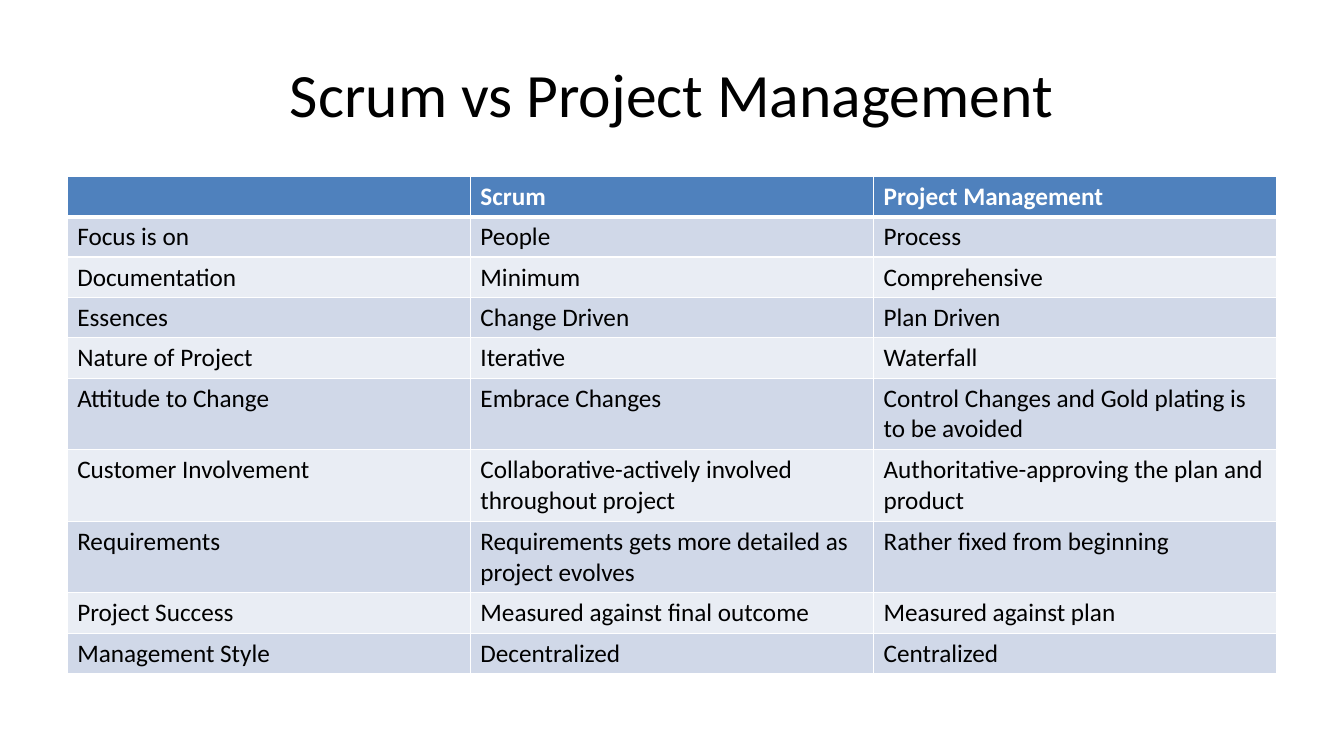
from dataclasses import dataclass
from lxml.etree import SubElement
from pptx import Presentation
from pptx.dml.color import RGBColor
from pptx.enum.text import MSO_ANCHOR, PP_ALIGN
from pptx.oxml.ns import qn
from pptx.util import Inches, Pt


@dataclass
class Theme:
    face: str = "Calibri"
    head: str = "4F81BD"
    bands: tuple = ("E9EDF4", "D0D8E8")
    dark: str = "000000"
    light: str = "FFFFFF"
    title: int = 44
    body: int = 18
    thin: int = 1
    thick: int = 3


theme = Theme()


def style(para, size, color, bold=False):
    font = para.font
    font.name, font.size, font.bold = theme.face, Pt(size), bold
    font.color.rgb = RGBColor.from_string(color)


def edge(cell, side, width):
    line = SubElement(cell._tc.get_or_add_tcPr(), qn(f"a:ln{side}"), w=str(Pt(width)))
    fill = SubElement(line, qn("a:solidFill"))
    SubElement(fill, qn("a:srgbClr"), val=theme.light)


rows = [
    ("", "Scrum", "Project Management"),
    ("Focus is on", "People", "Process"),
    ("Documentation", "Minimum", "Comprehensive"),
    ("Essences", "Change Driven", "Plan Driven"),
    ("Nature of Project", "Iterative", "Waterfall"),
    ("Attitude to Change", "Embrace Changes",
     "Control Changes and Gold plating is to be avoided"),
    ("Customer Involvement", "Collaborative-actively involved throughout project",
     "Authoritative-approving the plan and product"),
    ("Requirements", "Requirements gets more detailed as project evolves",
     "Rather fixed from beginning"),
    ("Project Success", "Measured against final outcome", "Measured against plan"),
    ("Management Style", "Decentralized", "Centralized"),
]
tall = {"Attitude to Change", "Customer Involvement", "Requirements"}

deck = Presentation()
deck.slide_width, deck.slide_height = Inches(13.33), Inches(7.5)
wide, high = deck.slide_width, deck.slide_height
slide = deck.slides.add_slide(deck.slide_layouts[6])
left, span = int(wide * 0.05), int(wide * 0.9)

box = slide.shapes.add_textbox(left, int(high * 0.04), span, int(high / 6))
frame = box.text_frame
frame.word_wrap = True
frame.vertical_anchor = MSO_ANCHOR.MIDDLE
para = frame.paragraphs[0]
para.text = "Scrum vs Project Management"
para.alignment = PP_ALIGN.CENTER
style(para, theme.title, theme.dark)

heights = [Inches(0.71 if row[0] in tall else 0.4) for row in rows]
top = int(high * 0.2333)
table = slide.shapes.add_table(
    len(rows), len(rows[0]), left, top, span, sum(heights)).table

for r, row in enumerate(rows):
    table.rows[r].height = heights[r]
    first = r == 0
    for c, text in enumerate(row):
        cell = table.cell(r, c)
        for side in "LRTB":
            heavy = (first and side == "B") or (r == 1 and side == "T")
            edge(cell, side, theme.thick if heavy else theme.thin)
        cell.fill.solid()
        shade = theme.head if first else theme.bands[r % 2]
        cell.fill.fore_color.rgb = RGBColor.from_string(shade)
        para = cell.text_frame.paragraphs[0]
        para.text = text
        style(para, theme.body, theme.light if first else theme.dark, first)

deck.save("out.pptx")
